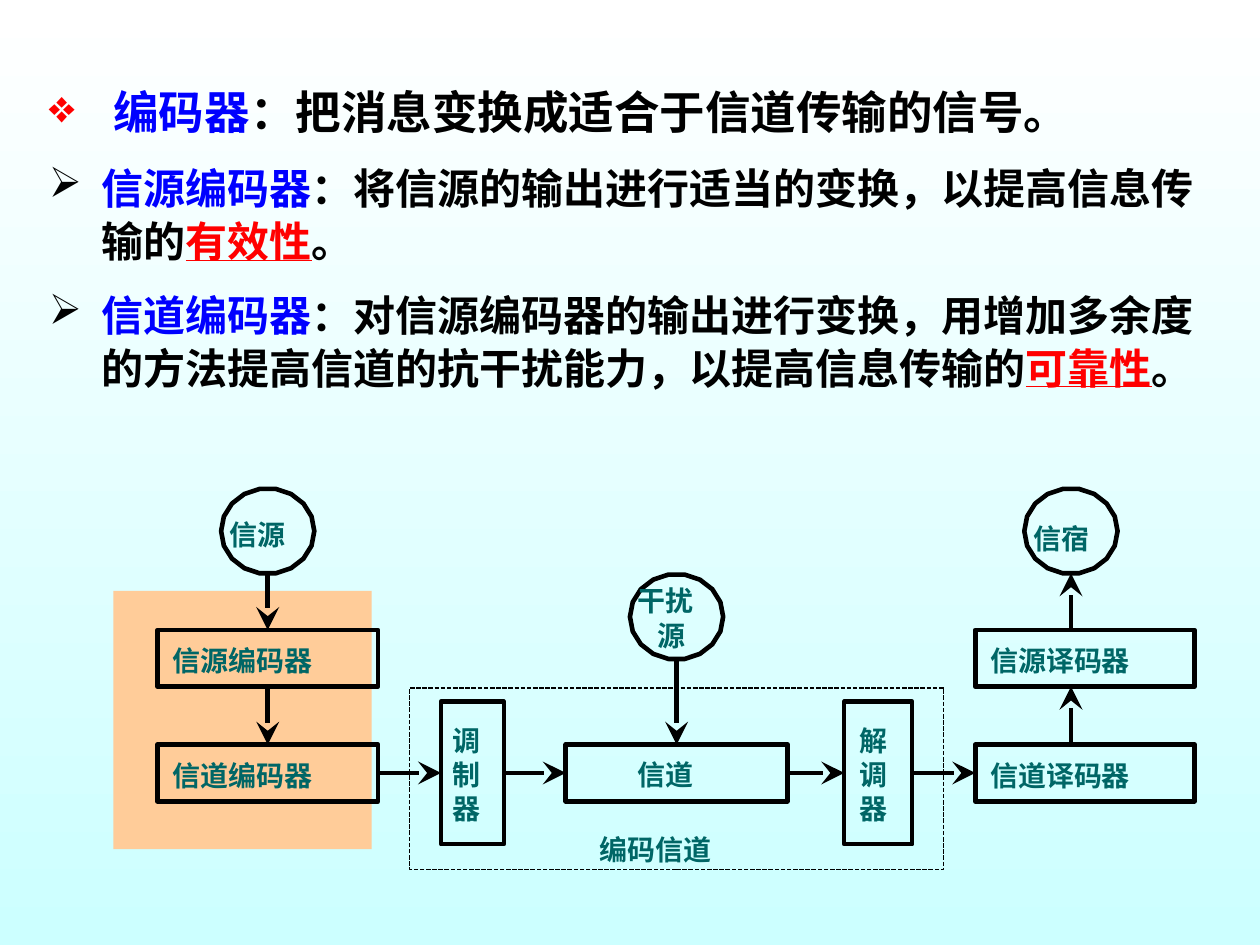
from math import cos, pi, sin

from lxml.etree import SubElement
from pptx import Presentation
from pptx.dml.color import RGBColor
from pptx.enum.dml import MSO_LINE
from pptx.enum.shapes import MSO_CONNECTOR, MSO_SHAPE
from pptx.enum.text import MSO_AUTO_SIZE
from pptx.oxml.ns import qn
from pptx.util import Inches, Pt

COLORS = {"white": "FFFFFF", "sky": "CCFFFF", "peach": "FFCC99", "term": "0000FF",
          "key": "FF0000", "ink": "000000", "label": "006666"}
BODY_FONT, LABEL_FONT = "Karla", "Noto Sans CJK SC"
STROKE = 2.64
BOX_HEIGHT = 0.45
BOX_TOPS = (1.12, 2.03)
CIRCLE_HEIGHT = 0.67
TOP, BOTTOM, LEFT, RIGHT = 0, 2, 1, 3

DEFINITIONS = [
    ("❖", "key", 26, 0, [(" 编码器", "term"), ("：把消息变换成适合于信道传输的信号。", "ink")]),
    ("➢", "ink", 24, 12, [
        ("信源编码器", "term"), ("：将信源的输出进行适当的变换，以提高信息传输的", "ink"),
        ("有效性", "key"), ("。", "ink")]),
    ("➢", "ink", 24, 12, [
        ("信道编码器", "term"),
        ("：对信源编码器的输出进行变换，用增加多余度的方法提高信道的抗干扰能力，以提高信息传输的", "ink"),
        ("可靠性", "key"), ("。", "ink")]),
]


def rgb(name):
    """Return the named colour."""
    return RGBColor.from_string(COLORS[name])


def format_run(run, font_name, size, color):
    """Make a run bold in one font for Latin and East Asian text."""
    run.font.name, run.font.size, run.font.bold = font_name, Pt(size), True
    run.font.color.rgb = rgb(color)
    SubElement(run.font._element, qn("a:ea"), typeface=font_name)


def outline(shape, width=STROKE):
    """Leave a shape hollow with a black outline."""
    shape.shadow.inherit = False
    shape.fill.background()
    shape.line.color.rgb = rgb("ink")
    shape.line.width = Pt(width)


def add_box(slide, left, top, width, height):
    """Add a hollow rectangle."""
    box = slide.shapes.add_shape(
        MSO_SHAPE.RECTANGLE, Inches(left), Inches(top), Inches(width), Inches(height))
    outline(box)
    return box


def add_label(slide, left, top, text):
    """Add a one-line label sized to its text."""
    label = slide.shapes.add_textbox(
        Inches(left), Inches(top), Inches(0.222 * len(text)), Inches(0.27))
    frame = label.text_frame
    frame.margin_left = frame.margin_right = frame.margin_top = frame.margin_bottom = 0
    frame.word_wrap = False
    frame.auto_size = MSO_AUTO_SIZE.SHAPE_TO_FIT_TEXT
    frame.text = text
    format_run(frame.paragraphs[0].runs[0], LABEL_FONT, 16, "label")


def add_circle(slide, center_x, top):
    """Add an eighteen-sided circle hanging from the given top."""
    center_y = top + CIRCLE_HEIGHT / 2
    points = [(Inches(center_x - 0.37 * cos(step * pi / 9)),
               Inches(center_y - 0.34 * sin(step * pi / 9))) for step in range(18)]
    builder = slide.shapes.build_freeform(*points[0])
    builder.add_line_segments(points[1:], close=True)
    outline(builder.convert_to_shape())


def add_arrow(slide, start=(0, 0), end=(0, 0)):
    """Add a straight black arrow."""
    arrow = slide.shapes.add_connector(
        MSO_CONNECTOR.STRAIGHT, *(Inches(value) for value in (*start, *end)))
    arrow.line.color.rgb = rgb("ink")
    arrow.line.width = Pt(STROKE)
    SubElement(arrow.line._get_or_add_ln(), qn("a:tailEnd"), type="stealth", w="lg", len="lg")
    SubElement(arrow._element.spPr, qn("a:effectLst"))
    return arrow


def join(slide, source, source_side, target, target_side):
    """Join two boxes with an arrow."""
    arrow = add_arrow(slide)
    arrow.begin_connect(source, source_side)
    arrow.end_connect(target, target_side)


def add_definitions(slide, left, top, width, height):
    """Write the bulleted definitions."""
    frame = slide.shapes.add_textbox(
        Inches(left), Inches(top), Inches(width), Inches(height)).text_frame
    frame.word_wrap = True
    for index, (bullet, bullet_color, size, before, parts) in enumerate(DEFINITIONS):
        paragraph = frame.add_paragraph() if index else frame.paragraphs[0]
        properties = paragraph._p.get_or_add_pPr()
        properties.set("marL", str(Inches(0.63)))
        properties.set("indent", str(Inches(-0.42)))
        tint = SubElement(properties, qn("a:buClr"))
        SubElement(tint, qn("a:srgbClr"), val=COLORS[bullet_color])
        SubElement(properties, qn("a:buChar"), char=bullet)
        paragraph.line_spacing = 1.05
        paragraph.space_before = Pt(before)
        for text, color in parts:
            run = paragraph.add_run()
            run.text = text
            format_run(run, BODY_FONT, size, color)
            run.font.underline = color == "key"


def add_stack(slide, left, top, width, axis, names, terminal_top):
    """Add a terminal circle above two coder boxes and return the boxes."""
    terminal, *coders = names
    add_circle(slide, left + axis, top)
    add_label(slide, left + axis - 0.3, top + terminal_top, terminal)
    boxes = []
    for offset, name in zip(BOX_TOPS, coders):
        boxes.append(add_box(slide, left, top + offset, width, BOX_HEIGHT))
        add_label(slide, left + 0.12, top + offset + 0.11, name)
    return boxes


def add_encoder(slide, left, top, width):
    """Build the sending side and return the channel encoder."""
    axis = width / 2
    source_coder, channel_coder = add_stack(
        slide, left, top, width, axis, ("信源", "信源编码器", "信道编码器"), 0.23)
    arrow = add_arrow(slide, (left + axis, top + CIRCLE_HEIGHT), (left + axis, top + BOX_TOPS[0]))
    arrow.end_connect(source_coder, TOP)
    join(slide, source_coder, BOTTOM, channel_coder, TOP)
    return channel_coder


def add_decoder(slide, left, top, width):
    """Build the receiving side and return the channel decoder."""
    axis = 0.76
    channel_decoder = add_stack(
        slide, left, top, width, axis, ("信宿", "信源译码器", "信道译码器"), 0.26)[1]
    ends = (CIRCLE_HEIGHT, BOX_TOPS[0] + BOX_HEIGHT)
    for start, end in zip(BOX_TOPS, ends):
        add_arrow(slide, (left + axis, top + start), (left + axis, top + end))
    return channel_decoder


def add_coding_channel(slide, left, top, width, height):
    """Build the dashed channel with its noise source and return its end boxes."""
    frame = add_box(slide, left, top, width, height)
    outline(frame, 0.88)
    frame.line.dash_style = MSO_LINE.SQUARE_DOT
    modems = []
    for offset, modem_width, text_left, name in (
            (0.25, 0.5, 0.34, "调制器"), (3.45, 0.54, 3.57, "解调器")):
        modems.append(add_box(slide, left + offset, top + 0.11, modem_width, 1.13))
        for row, character in enumerate(name):
            add_label(slide, left + text_left, top + 0.28 + 0.27 * row, character)
    channel = add_box(slide, left + 1.24, top + 0.45, 1.76, BOX_HEIGHT)
    add_label(slide, left + 1.81, top + 0.55, "信道")
    add_label(slide, left + 1.51, top + 1.15, "编码信道")
    noise_x = left + 2.12
    add_circle(slide, noise_x, top - 0.9)
    add_label(slide, left + 1.81, top - 0.83, "干扰")
    add_label(slide, left + 1.97, top - 0.55, "源")
    noise = add_arrow(slide, (noise_x, top - 0.9 + CIRCLE_HEIGHT), (noise_x, top + 0.45))
    noise.end_connect(channel, TOP)
    modulator, demodulator = modems
    join(slide, modulator, RIGHT, channel, LEFT)
    join(slide, channel, RIGHT, demodulator, LEFT)
    return modulator, demodulator


def main():
    """Build and save the slide."""
    deck = Presentation()
    deck.slide_width, deck.slide_height = Inches(10), Inches(7.5)
    slide = deck.slides.add_slide(deck.slide_layouts[6])
    backdrop = slide.background.fill
    backdrop.gradient()
    backdrop.gradient_angle = 270
    for stop, color in zip(backdrop.gradient_stops, ("white", "sky")):
        stop.color.rgb = rgb(color)
    panel = add_box(slide, 0.9, 4.69, 2.05, 2.05)
    panel.fill.solid()
    panel.fill.fore_color.rgb = rgb("peach")
    panel.line.fill.background()
    add_definitions(slide, 0.08, 0.6, 9.58, 6.57)
    modulator, demodulator = add_coding_channel(slide, 3.25, 5.46, 4.24, 1.44)
    join(slide, add_encoder(slide, 1.25, 3.88, 1.75), RIGHT, modulator, LEFT)
    join(slide, demodulator, RIGHT, add_decoder(slide, 7.74, 3.88, 1.74), LEFT)
    deck.save("out.pptx")


if __name__ == "__main__":
    main()
